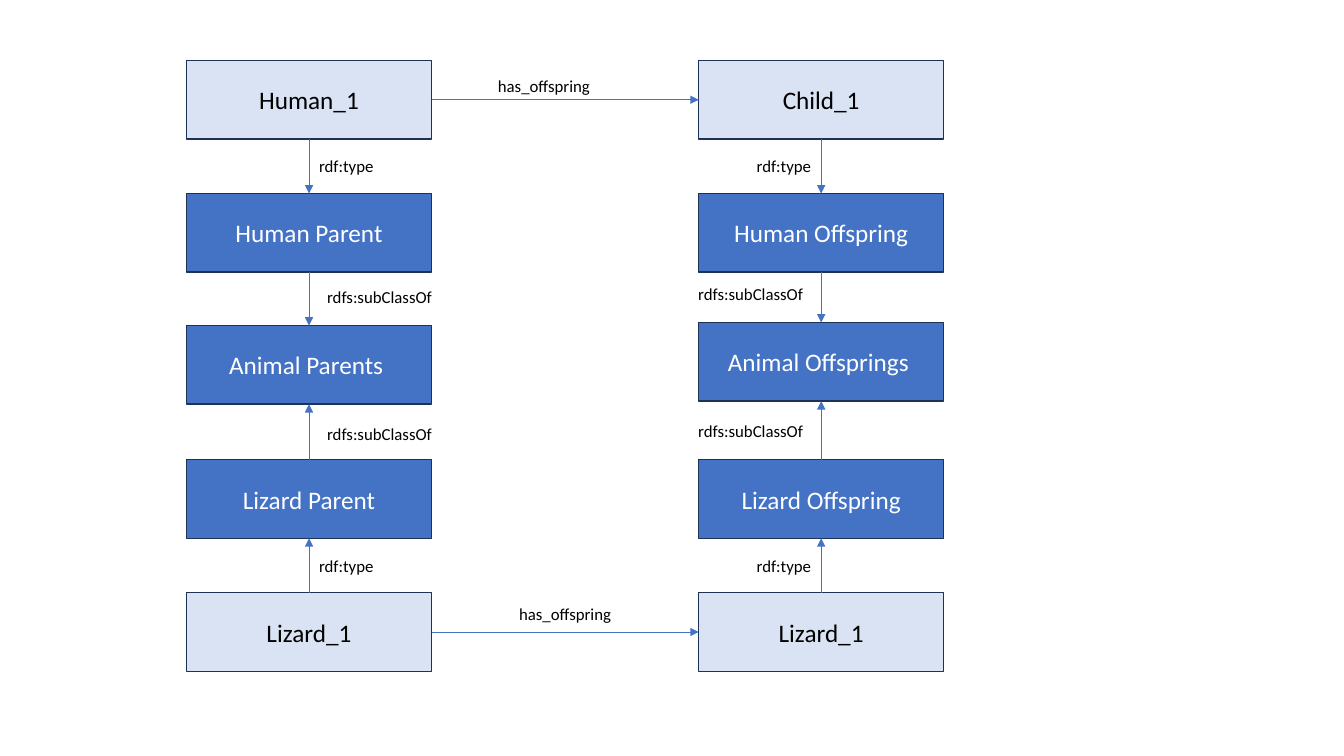
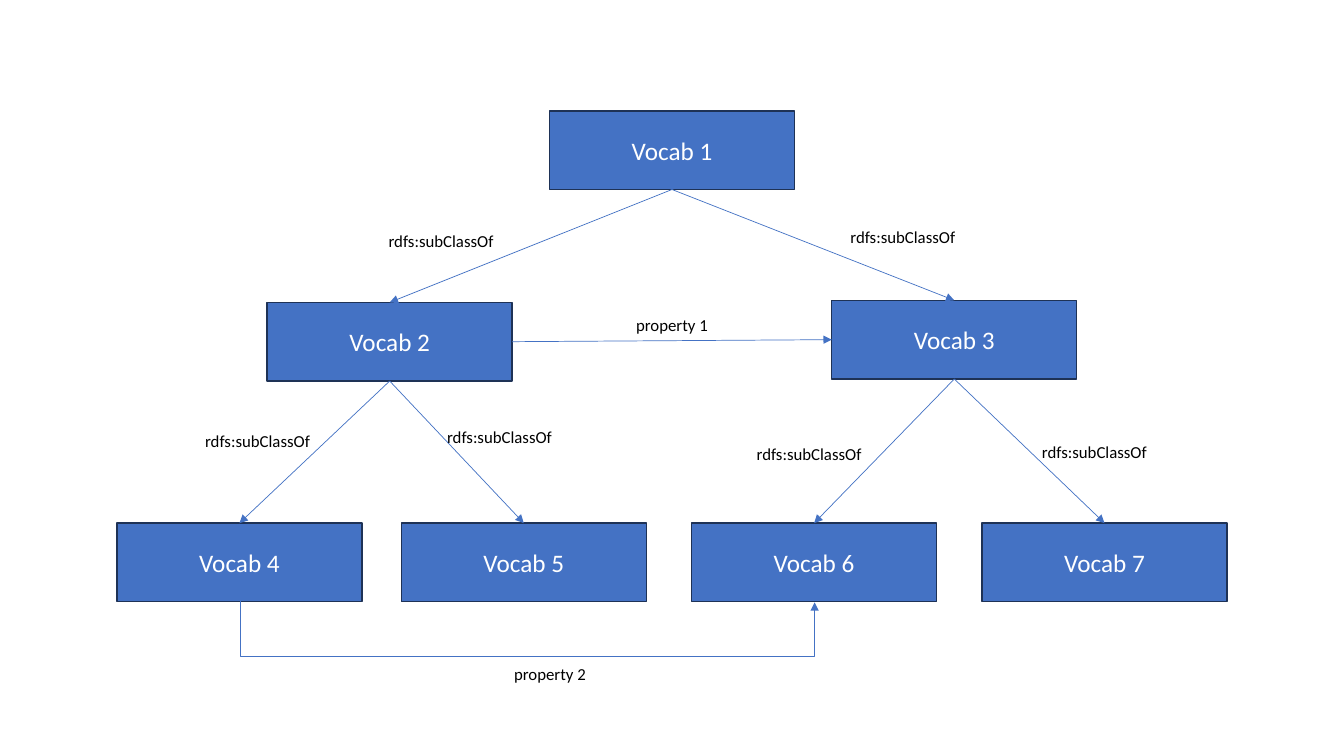
from lxml.etree import SubElement
from pptx import Presentation
from pptx.dml.color import RGBColor
from pptx.enum.shapes import MSO_CONNECTOR as Link, MSO_SHAPE as Preset
from pptx.enum.text import MSO_ANCHOR as Anchor, MSO_AUTO_SIZE as AutoSize, PP_ALIGN as Align
from pptx.oxml.ns import qn
from pptx.util import Emu, Pt

EMU_PER_PX = 9144
PAGE_WIDTH, PAGE_HEIGHT = 1333, 750
BOX_WIDTH, BOX_HEIGHT = 243, 78
LABEL_HEIGHT = 30
TYPE_WIDTH, PROPERTY_WIDTH, SUBCLASS_WIDTH = 75, 125, 141
TOP, LEFT, BOTTOM, RIGHT = range(4)

FONT = "Calibri"
BLUE = RGBColor(0x44, 0x72, 0xC4)
PALE_BLUE = RGBColor(0xDA, 0xE3, 0xF3)
NAVY = RGBColor(0x1E, 0x32, 0x56)
BLACK = RGBColor(0x00, 0x00, 0x00)
WHITE = RGBColor(0xFF, 0xFF, 0xFF)


def px(length):
    return Emu(round(length * EMU_PER_PX))


def write(shape, text, *, size, color, anchor):
    frame = shape.text_frame
    frame.word_wrap = True
    frame.vertical_anchor = anchor
    para = frame.paragraphs[0]
    para.alignment = Align.CENTER
    span = para.add_run()
    span.text = text
    span.font.name = FONT
    span.font.size = Pt(size)
    span.font.color.rgb = color


def add_box(page, text, left, top, *, fill=BLUE, color=WHITE):
    box = page.shapes.add_shape(
        Preset.RECTANGLE, px(left), px(top), px(BOX_WIDTH), px(BOX_HEIGHT)
    )
    box.shadow.inherit = False
    box.fill.solid()
    box.fill.fore_color.rgb = fill
    box.line.color.rgb = NAVY
    box.line.width = Pt(1)
    write(box, text, size=18, color=color, anchor=Anchor.MIDDLE)
    return box


def add_label(page, text, left, top, width):
    label = page.shapes.add_textbox(px(left), px(top), px(width), px(LABEL_HEIGHT))
    write(label, text, size=12, color=BLACK, anchor=Anchor.TOP)
    label.text_frame.auto_size = AutoSize.SHAPE_TO_FIT_TEXT


def style_arrow(arrow):
    arrow.line.color.rgb = BLUE
    arrow.line.width = Pt(0.5)
    SubElement(arrow.get_or_add_ln(), qn("a:tailEnd"), type="triangle")
    SubElement(arrow.element.spPr, qn("a:effectLst"))


def add_arrow(page, source, source_side, target, target_side):
    arrow = page.shapes.add_connector(Link.STRAIGHT, 0, 0, 0, 0)
    arrow.begin_connect(source, source_side)
    arrow.end_connect(target, target_side)
    style_arrow(arrow)


def add_arrow_below(page, source, target, drop):
    start = source.left + source.width // 2
    end = target.left + target.width // 2
    middle, half = (start + end) // 2, (end - start) // 2
    bottom = source.top + source.height
    arrow = page.shapes.add_connector(
        Link.ELBOW, middle + px(1), bottom - half, middle, bottom + half
    )
    properties = arrow.element.spPr
    properties.find(qn("a:xfrm")).set("rot", str(270 * 60000))
    guides = properties.find(qn("a:prstGeom")).find(qn("a:avLst"))
    SubElement(guides, qn("a:gd"), name="adj1", fmla=f"val {drop * 100000}")
    style_arrow(arrow)


def add_column(page, names, left, animal_top, labels_on_right):
    tops = [60, 192, animal_top, 456, 588]
    boxes = []
    for row, (name, top) in enumerate(zip(names, tops)):
        colors = {"fill": PALE_BLUE, "color": BLACK} if row in (0, 4) else {}
        boxes.append(add_box(page, name, left, top, **colors))
    for upper, lower in ((0, 1), (1, 2)):
        add_arrow(page, boxes[upper], BOTTOM, boxes[lower], TOP)
    for lower, upper in ((4, 3), (3, 2)):
        add_arrow(page, boxes[lower], TOP, boxes[upper], BOTTOM)
    axis = left + BOX_WIDTH // 2
    for text, top, width in (
        ("rdf:type", 150, TYPE_WIDTH),
        ("rdfs:subClassOf", animal_top - 43, SUBCLASS_WIDTH),
        ("rdfs:subClassOf", animal_top + 92, SUBCLASS_WIDTH),
        ("rdf:type", 546, TYPE_WIDTH),
    ):
        add_label(page, text, axis if labels_on_right else axis + 1 - width, top, width)
    return boxes


def build_offspring_page(page):
    parents = add_column(
        page,
        ["Human_1", "Human Parent", "Animal Parents ", "Lizard Parent", "Lizard_1"],
        185, 323, True,
    )
    offspring = add_column(
        page,
        ["Child_1", "Human Offspring", "Animal Offsprings ", "Lizard Offspring", "Lizard_1"],
        693, 320, False,
    )
    for row, left, top in ((0, 477, 70), (4, 498, 594)):
        add_arrow(page, parents[row], RIGHT, offspring[row], LEFT)
        add_label(page, "has_offspring", left, top, PROPERTY_WIDTH)


def build_vocabulary_page(page):
    places = [(545, 110), (265, 300), (825, 298),
              (116, 519), (398, 519), (686, 519), (974, 519)]
    vocab = {
        number: add_box(page, f"Vocab {number}", left, top)
        for number, (left, top) in enumerate(places, 1)
    }
    for parent, child, left, top in (
        (1, 2, 367, 224), (1, 3, 825, 220),
        (2, 4, 185, 422), (2, 5, 425, 418),
        (3, 6, 732, 435), (3, 7, 1015, 433),
    ):
        add_arrow(page, vocab[parent], BOTTOM, vocab[child], TOP)
        add_label(page, "rdfs:subClassOf", left, top, SUBCLASS_WIDTH)
    add_arrow(page, vocab[2], RIGHT, vocab[3], LEFT)
    add_label(page, "property 1", 604, 307, PROPERTY_WIDTH)
    add_arrow_below(page, vocab[4], vocab[6], 56)
    add_label(page, "property 2", 483, 654, PROPERTY_WIDTH)


def main():
    deck = Presentation()
    deck.slide_width, deck.slide_height = px(PAGE_WIDTH), px(PAGE_HEIGHT)
    blank = deck.slide_layouts.get_by_name("Blank")
    for build in (build_offspring_page, build_vocabulary_page):
        build(deck.slides.add_slide(blank))
    deck.save("out.pptx")


if __name__ == "__main__":
    main()
